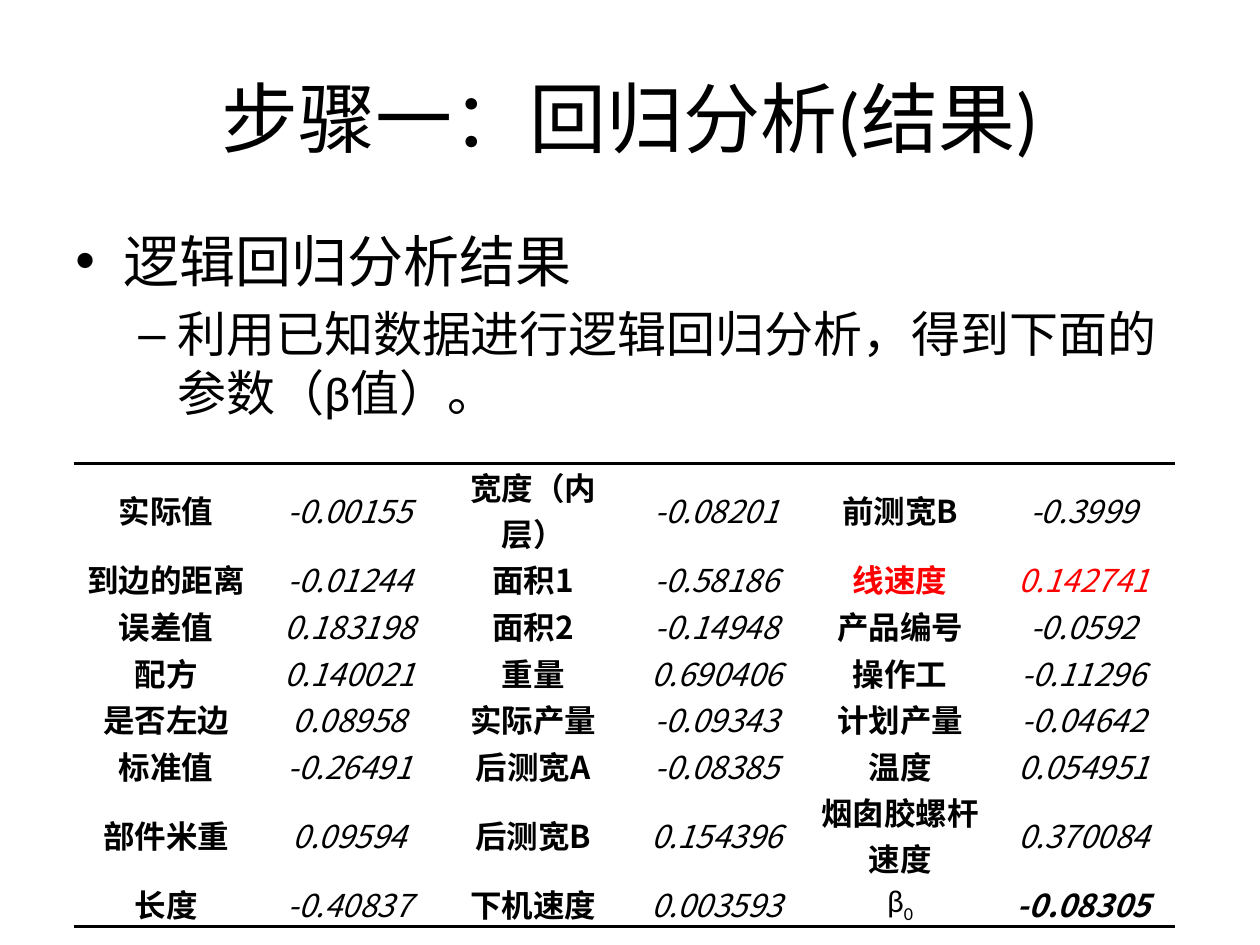
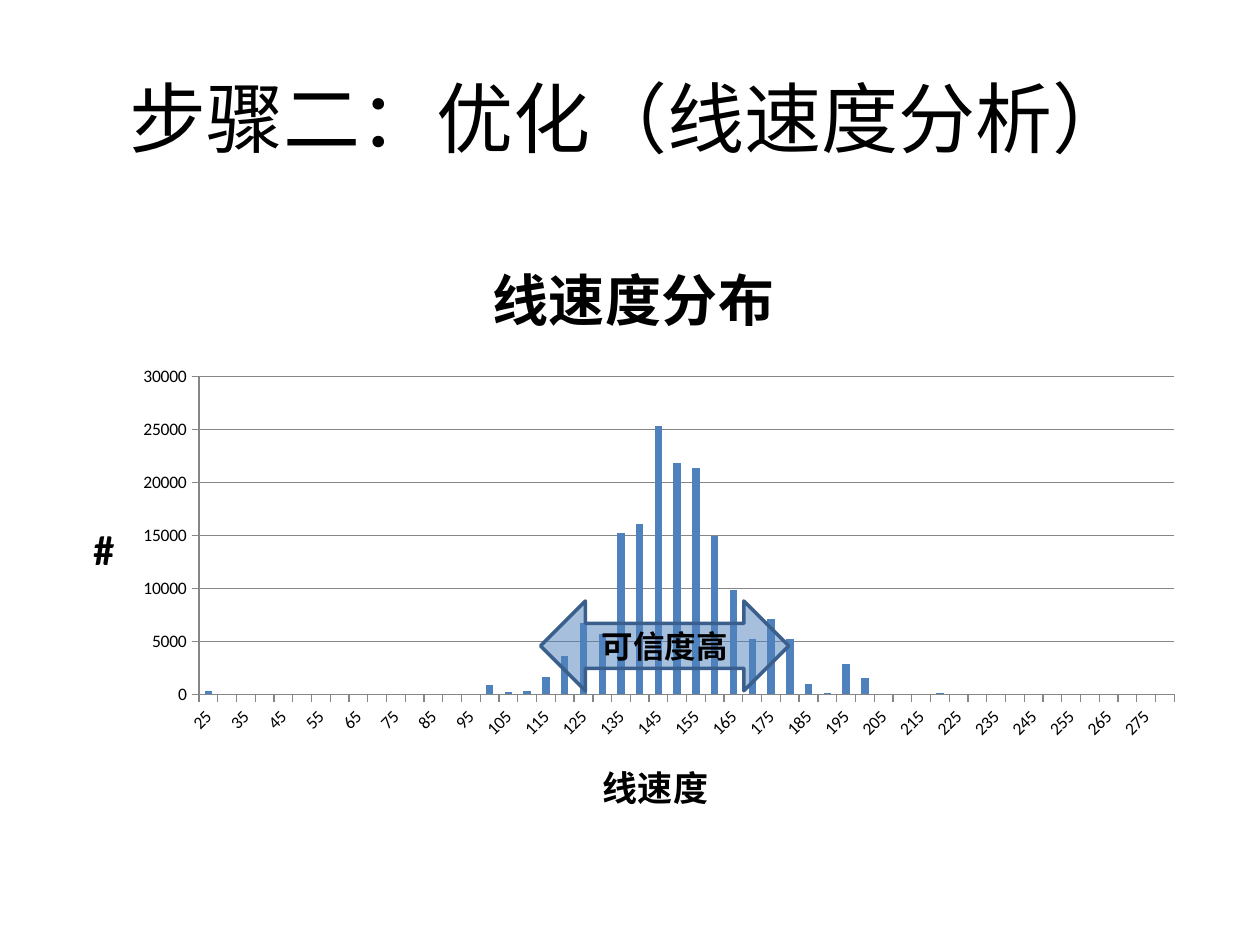
from dataclasses import dataclass

from lxml import etree
from pptx import Presentation
from pptx import util as u
from pptx.chart.data import CategoryChartData
from pptx.dml.color import RGBColor
from pptx.enum import chart as ch, shapes, text
from pptx.oxml import parse_xml
from pptx.oxml.ns import nsdecls, qn

# Shared look
BLACK = RGBColor(0, 0, 0)
WHITE = RGBColor(255, 255, 255)
RED = RGBColor(255, 0, 0)
BLUE = RGBColor(0x4F, 0x81, 0xBD)
NAVY = RGBColor(0x3A, 0x5F, 0x8C)
GRAY = RGBColor(0x86, 0x86, 0x86)
LATIN, HAN, MARK = "Calibri", "Noto Sans CJK SC", "Arial"
PLAIN = "{2D5ABB26-0587-4C30-8999-92F81FD0307C}"  # table style without grid
WIDE, HIGH = u.Inches(10), u.Inches(7.5)


@dataclass
class Box:
    """A place on the slide, in shares of its width and height."""
    x: float
    y: float
    w: float
    h: float

    def at(self) -> tuple:
        return (int(self.x * WIDE), int(self.y * HIGH),
                int(self.w * WIDE), int(self.h * HIGH))


@dataclass
class Point:
    """A bulleted line; indents in inches."""
    words: str
    mark: str
    size: int
    left: float
    hang: float
    level: int = 0


TITLE = Box(0.05, 0.04, 0.9, 1 / 6)
BODY = Box(0.05, 0.7 / 3, 0.9, 0.66)
GRID = Box(0.059, 0.49, 0.874, 0.49)
ARROW = Box(0.429, 0.636, 0.197, 0.095)

POINTS = [
    Point("逻辑回归分析结果", "•", 32, 0.38, 0.38),
    Point("利用已知数据进行逻辑回归分析，得到下面的参数（β值）。",
          "–", 28, 0.81, 0.31, 1),
]

# Names and their beta values, side by side
BETAS = [
    ("实际值", "-0.00155", "宽度（内层）", "-0.08201", "前测宽B", "-0.3999"),
    ("到边的距离", "-0.01244", "面积1", "-0.58186", "线速度", "0.142741"),
    ("误差值", "0.183198", "面积2", "-0.14948", "产品编号", "-0.0592"),
    ("配方", "0.140021", "重量", "0.690406", "操作工", "-0.11296"),
    ("是否左边", "0.08958", "实际产量", "-0.09343", "计划产量", "-0.04642"),
    ("标准值", "-0.26491", "后测宽A", "-0.08385", "温度", "0.054951"),
    ("部件米重", "0.09594", "后测宽B", "0.154396", "烟囱胶螺杆速度", "0.370084"),
    ("长度", "-0.40837", "下机速度", "0.003593", "β", "-0.08305"),
]
KEY = (1, 4), (1, 5)  # cells in red
LAST = len(BETAS) - 1

# Counts per line speed; every speed not listed counts zero
SPEEDS = range(25, 285, 5)
COUNTS = {25: 300, 190: 100, 195: 2900, 200: 1500, 220: 100}
COUNTS |= zip(range(100, 190, 5), [
    900, 200, 300, 1600, 3600, 6700, 5700, 15200, 16100, 25300,
    21800, 21400, 14900, 9800, 5200, 7100, 5200, 1000])


def style(font, size: float, name: str = LATIN, color: RGBColor = BLACK,
          bold: bool = False, slant: bool = False) -> None:
    font.size, font.name = u.Pt(size), name
    font.bold, font.italic = bold, slant
    font.color.rgb = color
    latin = font._element.find(qn("a:latin"))
    latin.addnext(parse_xml(f'<a:ea {nsdecls("a")} typeface="{HAN}"/>'))


def frame(slide, box: Box):
    area = slide.shapes.add_textbox(*box.at()).text_frame
    area.word_wrap = True
    return area


def head(slide, words: str) -> None:
    area = frame(slide, TITLE)
    area.vertical_anchor = text.MSO_ANCHOR.MIDDLE
    para = area.paragraphs[0]
    para.text, para.alignment = words, text.PP_ALIGN.CENTER
    style(para.font, 44)


def listing(slide, points: list[Point]) -> None:
    area = frame(slide, BODY)
    for i, point in enumerate(points):
        para = area.add_paragraph() if i else area.paragraphs[0]
        para.text, para.level = point.words, point.level
        para.space_before = u.Pt(point.size * 0.2)
        props = para._p.get_or_add_pPr()
        props.set("marL", str(u.Inches(point.left)))
        props.set("indent", str(-u.Inches(point.hang)))
        etree.SubElement(props, qn("a:buFont")).set("typeface", MARK)
        etree.SubElement(props, qn("a:buChar")).set("char", point.mark)
        style(para.font, point.size)


def rule(cell, side: str) -> None:
    """Draw a black line on the top (T) or bottom (B) of a cell."""
    cell._tc.get_or_add_tcPr().insert(0, parse_xml(
        f'<a:ln{side} {nsdecls("a")} w="{u.Pt(2)}"><a:solidFill>'
        f'<a:srgbClr val="{BLACK}"/></a:solidFill></a:ln{side}>'))


def betas(slide) -> None:
    table = slide.shapes.add_table(len(BETAS), len(BETAS[0]), *GRID.at()).table
    table.first_row = table.horz_banding = False
    table._tbl.tblPr.find(qn("a:tableStyleId")).text = PLAIN
    for row, line in zip(table.rows, BETAS):
        wraps = max(map(len, line[::2])) > 5  # a name on two lines
        row.height = u.Inches(0.73 if wraps else 0.37)
    for r, line in enumerate(BETAS):
        for c, words in enumerate(line):
            cell = table.cell(r, c)
            cell.fill.solid()
            cell.fill.fore_color.rgb = WHITE
            cell.vertical_anchor = text.MSO_ANCHOR.MIDDLE
            cell.margin_left = cell.margin_right = u.Inches(0.01)
            cell.margin_top, cell.margin_bottom = u.Inches(0.01), 0
            para = cell.text_frame.paragraphs[0]
            para.text, para.alignment = words, text.PP_ALIGN.CENTER
            beta, value = words == "β", c % 2 == 1
            style(para.font, 18, LATIN if beta else HAN,
                  RED if (r, c) in KEY else BLACK,
                  bold=not (value or beta) or (r, c) == (LAST, 5),
                  slant=value)
            if beta:  # subscript zero
                sub = para.add_run()
                sub.text = "0"
                sub._r.get_or_add_rPr().set("baseline", "-25000")
            if r == 0:
                rule(cell, "T")
            if r == LAST:
                rule(cell, "B")


def place(part, spot: int, **share: float) -> None:
    """Fix a chart part at shares of the chart's size."""
    old = part.find(qn("c:layout"))
    if old is not None:
        part.remove(old)
    inner = '<c:layoutTarget val="inner"/>' if "w" in share else ""
    modes = "".join(f'<c:{k}Mode val="edge"/>' for k in "xy")
    sizes = "".join(f'<c:{k} val="{v}"/>' for k, v in share.items())
    part.insert(spot, parse_xml(
        f'<c:layout {nsdecls("c")}><c:manualLayout>{inner}{modes}{sizes}'
        '</c:manualLayout></c:layout>'))


def label(title, words: str, size: int, x: float, y: float) -> None:
    area = title.text_frame
    area.text = words
    area._txBody.bodyPr.set("rot", "0")
    area._txBody.bodyPr.set("vert", "horz")
    style(area.paragraphs[0].font, size, bold=True)
    place(title._element, 1, x=x, y=y)


def speeds(slide) -> None:
    data = CategoryChartData()
    data.categories = [str(s) for s in SPEEDS]
    data.add_series("Series 1", [COUNTS.get(s, 0) for s in SPEEDS])
    chart = slide.shapes.add_chart(
        ch.XL_CHART_TYPE.COLUMN_CLUSTERED, *BODY.at(), data).chart
    chart.has_legend = False
    chart.font.size, chart.font.name = u.Pt(10), LATIN
    chart.font.color.rgb = BLACK
    plot = chart.plots[0]
    plot.gap_width, plot.vary_by_categories = 150, False
    fill = plot.series[0].format.fill
    fill.solid()
    fill.fore_color.rgb = BLUE
    # Axes and grid
    across, up = chart.category_axis, chart.value_axis
    up.minimum_scale, up.maximum_scale, up.major_unit = 0, 30000, 5000
    up.has_major_gridlines = True
    up.major_gridlines.format.line.color.rgb = GRAY
    for axis in (across, up):
        axis.major_tick_mark = ch.XL_TICK_MARK.OUTSIDE
        axis.format.line.color.rgb = GRAY
    # Titles and plot area
    label(chart.chart_title, "线速度分布", 32, 0.37, 0.03)
    label(across.axis_title, "线速度", 20, 0.47, 0.85)
    label(up.axis_title, "#", 24, 0.02, 0.47)
    place(chart._chartSpace.chart.plotArea, 0, x=0.12, y=0.25, w=0.86, h=0.51)


def trust(slide) -> None:
    """Half-clear arrow over the reliable range."""
    arrow = slide.shapes.add_shape(
        shapes.MSO_SHAPE.LEFT_RIGHT_ARROW, *ARROW.at())
    arrow.shadow.inherit = False
    arrow.fill.solid()
    arrow.fill.fore_color.rgb = BLUE
    tint = arrow._element.spPr.find(qn("a:solidFill"))[0]
    etree.SubElement(tint, qn("a:alpha")).set("val", "50000")
    arrow.line.color.rgb, arrow.line.width = NAVY, u.Pt(2)
    arrow.text_frame.vertical_anchor = text.MSO_ANCHOR.MIDDLE
    para = arrow.text_frame.paragraphs[0]
    para.text, para.alignment = "可信度高", text.PP_ALIGN.CENTER
    style(para.font, 18, HAN, bold=True)


deck = Presentation()
deck.slide_width, deck.slide_height = WIDE, HIGH
blank = deck.slide_layouts[6]

# Slide 1: regression results
first = deck.slides.add_slide(blank)
head(first, "步骤一：回归分析(结果)")
listing(first, POINTS)
betas(first)

# Slide 2: line speed distribution
second = deck.slides.add_slide(blank)
head(second, "步骤二：优化（线速度分析）")
speeds(second)
trust(second)

deck.save("out.pptx")
